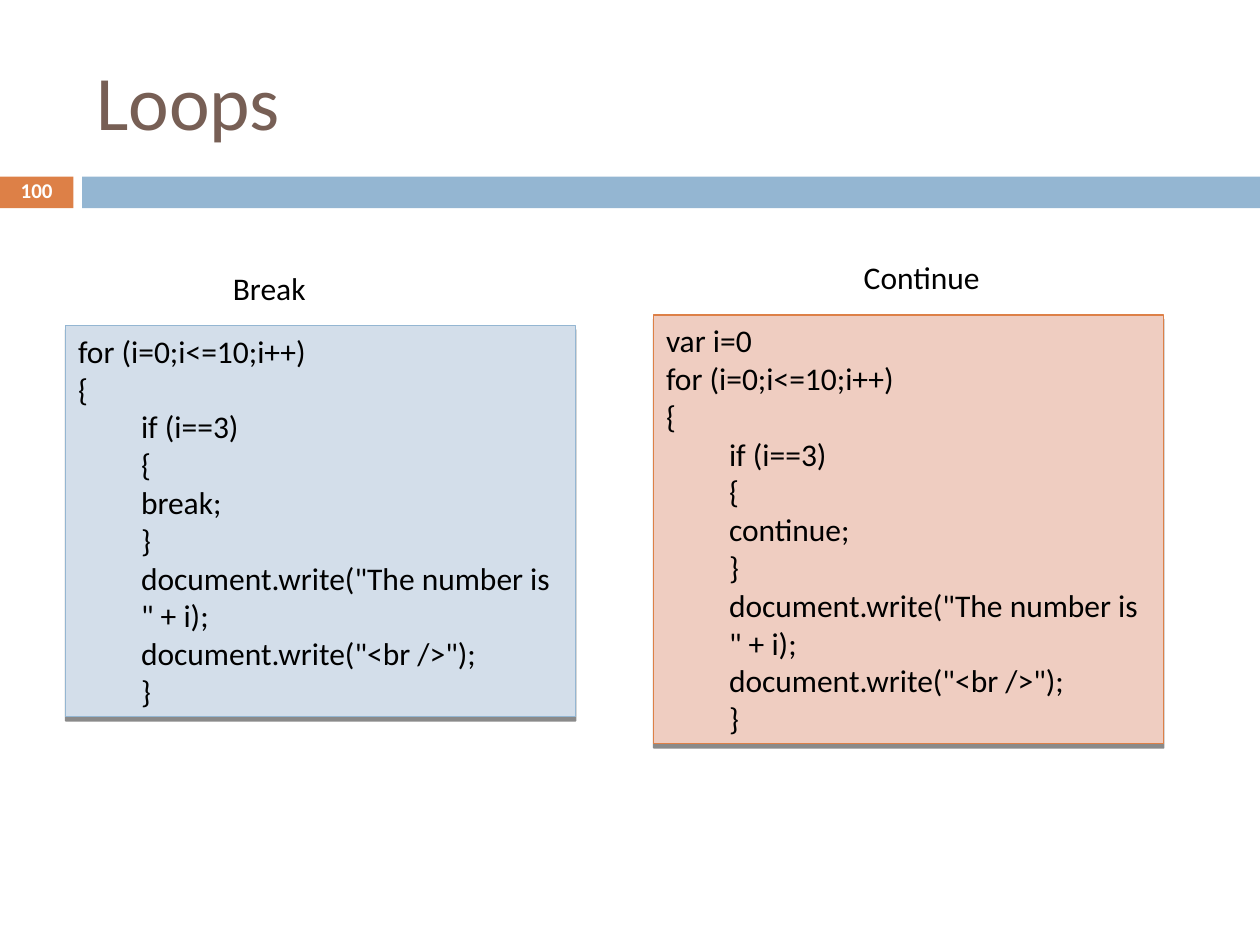
from lxml import etree
from pptx import Presentation
from pptx.dml.color import RGBColor
from pptx.enum.shapes import MSO_SHAPE
from pptx.enum.text import MSO_ANCHOR, PP_ALIGN
from pptx.oxml.ns import qn
from pptx.util import Pt

RECTANGLE = MSO_SHAPE.RECTANGLE
TOP, MIDDLE = MSO_ANCHOR.TOP, MSO_ANCHOR.MIDDLE
LEFT, CENTER = PP_ALIGN.LEFT, PP_ALIGN.CENTER

BLACK = RGBColor(0x00, 0x00, 0x00)
WHITE = RGBColor(0xFF, 0xFF, 0xFF)
BROWN = RGBColor(0x77, 0x5F, 0x55)
ORANGE = RGBColor(0xDD, 0x80, 0x47)
BLUE = RGBColor(0x94, 0xB6, 0xD2)
PALE_ORANGE = RGBColor(0xEF, 0xCD, 0xC1)
PALE_BLUE = RGBColor(0xD3, 0xDE, 0xEA)

FONT = "Calibri"
INDENT = Pt(36)
LOOP_HEAD = ["for (i=0;i<=10;i++)", "{"]
LOOP_TAIL = ["}", 'document.write("The number is " + i);', 'document.write("<br />");', "}"]


def loop_lines(keyword, setup=()):
    """Return (text, level) pairs of a loop whose condition runs the keyword."""
    outer = [*setup, *LOOP_HEAD]
    inner = ["if (i==3)", "{", f"{keyword};", *LOOP_TAIL]
    return [(line, 0) for line in outer] + [(line, 1) for line in inner]


def write_text(shape, lines, size=18, color=BLACK, bold=False, align=LEFT,
               anchor=TOP, wrap=True, line_spacing=None):
    """Fill a shape with (text, level) lines in one format."""
    frame = shape.text_frame
    frame.word_wrap = wrap
    frame.vertical_anchor = anchor
    for index, (text, level) in enumerate(lines):
        paragraph = frame.paragraphs[0] if index == 0 else frame.add_paragraph()
        paragraph.alignment = align
        paragraph.line_spacing = line_spacing
        if level:
            paragraph.level = level
            properties = paragraph._p.get_or_add_pPr()
            properties.set("marL", str(level * INDENT))
            properties.set("indent", "0")
        run = paragraph.add_run()
        run.text = text
        run.font.name = FONT
        run.font.size = Pt(size)
        run.font.bold = bold
        run.font.color.rgb = color


def add_text(slide, box, text, **text_format):
    shape = slide.shapes.add_textbox(*map(Pt, box))
    write_text(shape, [(text, 0)], **text_format)


def add_rectangle(slide, box, fill, line=None):
    shape = slide.shapes.add_shape(RECTANGLE, *map(Pt, box))
    shape.shadow.inherit = False
    shape.fill.solid()
    shape.fill.fore_color.rgb = fill
    if line is None:
        shape.line.fill.background()
    else:
        shape.line.color.rgb = line
        shape.line.width = Pt(0.79)
    return shape


def add_drop_shadow(shape):
    effects = shape._element.spPr.find(qn("a:effectLst"))
    shadow = etree.SubElement(effects, qn("a:outerShdw"), blurRad="0",
                              dist=str(Pt(2.4)), dir="5400000", rotWithShape="0")
    color = etree.SubElement(shadow, qn("a:srgbClr"), val=str(BLACK))
    etree.SubElement(color, qn("a:alpha"), val="45000")


def add_header(slide, box, title, number):
    """Place the title over a bar that starts with the slide number."""
    left, top, width, height = box
    number_width, gap, bar_height = 42, 5, 18
    bar_top = top + height - bar_height
    bar_left = left + number_width + gap
    number_box = (left, bar_top, number_width, bar_height)
    add_rectangle(slide, number_box, ORANGE)
    add_rectangle(slide, (bar_left, bar_top, left + width - bar_left, bar_height), BLUE)
    add_text(slide, (left + 48, top + 18, 642, 78), title, size=44, color=BROWN,
             anchor=MIDDLE)
    add_text(slide, number_box, number, size=12, color=WHITE, bold=True,
             align=CENTER, anchor=MIDDLE, line_spacing=0.8)


def add_code_panel(slide, box, caption, caption_box, lines, fill, line):
    """Place a captioned code box; the caption box is relative to the panel."""
    left, top, width, height = box
    caption_left, caption_width, caption_height = caption_box
    panel = add_rectangle(slide, (left, top, width, height), fill, line)
    add_drop_shadow(panel)
    panel.text_frame.margin_right = Pt(10)
    write_text(panel, lines)
    add_text(slide, (left + caption_left, top - 36, caption_width, caption_height),
             caption, wrap=False)


def main():
    presentation = Presentation()
    presentation.slide_width = Pt(720)
    presentation.slide_height = Pt(540)
    slide = presentation.slides.add_slide(presentation.slide_layouts[6])
    add_header(slide, (0, 0, 720, 119), "Loops", "100")
    add_code_panel(slide, (37.5, 186, 291.5, 223.5), "Break", (88.5, 56, 29),
                   loop_lines("break"), PALE_BLUE, BLUE)
    add_code_panel(slide, (373.5, 180, 291.5, 245), "Continue", (113, 81, 29),
                   loop_lines("continue", ["var i=0"]), PALE_ORANGE, ORANGE)
    presentation.save("out.pptx")


if __name__ == "__main__":
    main()
